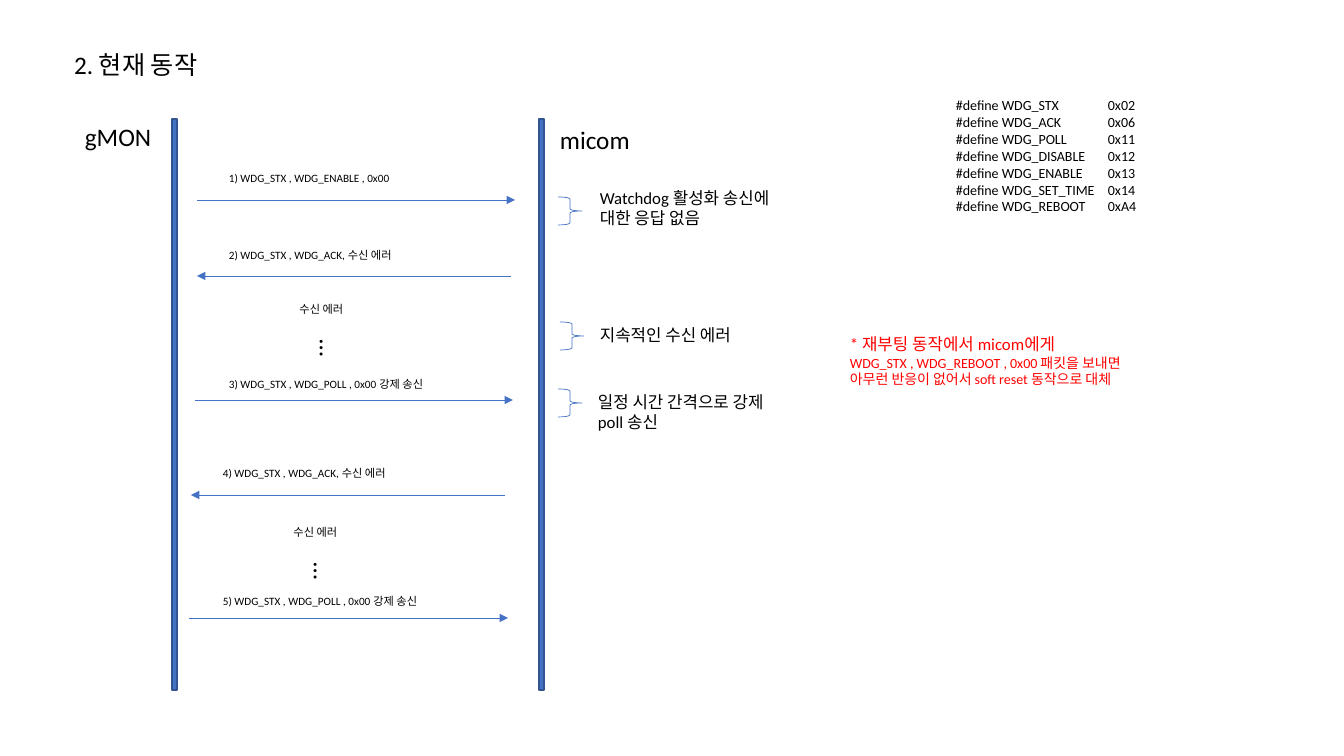
from lxml import etree
from pptx import Presentation
from pptx.dml.color import RGBColor
from pptx.enum.shapes import MSO_CONNECTOR, MSO_SHAPE
from pptx.enum.text import MSO_ANCHOR, MSO_AUTO_SIZE as AUTO_SIZE, PP_ALIGN
from pptx.oxml.ns import qn
from pptx.util import Emu, Pt

EMU_PER_PX = 914400 / 100.8
FONT = "Calibri"
BLACK, RED, BLUE, NAVY = "000000", "FF0000", "4472C4", "325491"

TITLE = "2. 현재 동작"
LIFELINES = [172, 539]
ACTORS = [("gMON", 75, 116), ("micom", 550, 119)]
MESSAGES = [
    ("1) WDG_STX , WDG_ENABLE , 0x00", (219, 166, 192), (197, 515, 200)),
    ("2) WDG_STX , WDG_ACK, 수신 에러", (219, 243, 192), (511, 197, 276)),
    ("3) WDG_STX , WDG_POLL , 0x00 강제 송신", (219, 372, 235), (195, 513, 400)),
    ("4) WDG_STX , WDG_ACK, 수신 에러", (213, 461, 192), (505, 191, 495)),
    ("5) WDG_STX , WDG_POLL , 0x00 강제 송신", (213, 589, 235), (189, 508, 618)),
]
REPEATED_ERROR = " 수신 에러"
REPEATS = [(287, 297), (281, 520)]
REMARKS = [
    ("Watchdog 활성화 송신에 대한 응답 없음", (558, 197), (590, 183, 214, 50)),
    ("지속적인 수신 에러", (560, 322), (590, 320, 214, 30)),
    ("일정 시간 간격으로 강제 poll 송신", (558, 389), (588, 387, 214, 50)),
]
DEFINES = [
    ("WDG_STX", "0x02"),
    ("WDG_ACK", "0x06"),
    ("WDG_POLL", "0x11"),
    ("WDG_DISABLE", "0x12"),
    ("WDG_ENABLE", "0x13"),
    ("WDG_SET_TIME", "0x14"),
    ("WDG_REBOOT", "0xA4"),
]
DEFINE_TAB = 152
REBOOT_NOTE = [
    ("* 재부팅 동작에서 micom에게", 12),
    ("WDG_STX , WDG_REBOOT , 0x00 패킷을 보내면", 10),
    ("아무런 반응이 없어서 soft reset 동작으로 대체", 10),
]


def px(value):
    return Emu(round(value * EMU_PER_PX))


def rgb(color):
    return RGBColor.from_string(color)


def format_text(text_frame, sizes, color=BLACK):
    for paragraph, size in zip(text_frame.paragraphs, sizes):
        for run in paragraph.runs:
            run.font.name = FONT
            run.font.size = Pt(size)
            run.font.color.rgb = rgb(color)


def add_text(slide, lines, box, sizes, color=BLACK):
    shape = slide.shapes.add_textbox(*map(px, box))
    text_frame = shape.text_frame
    text_frame.word_wrap = True
    text_frame.auto_size = AUTO_SIZE.SHAPE_TO_FIT_TEXT
    text_frame.text = "\n".join(lines)
    format_text(text_frame, sizes, color)
    return shape


def add_outline(slide, kind, box, line_color, width):
    shape = slide.shapes.add_shape(kind, *map(px, box))
    shape.shadow.inherit = False
    shape.line.color.rgb = rgb(line_color)
    shape.line.width = Pt(width)
    return shape


def add_arrow(slide, start, end, y):
    connector = slide.shapes.add_connector(
        MSO_CONNECTOR.STRAIGHT, px(start), px(y), px(end), px(y))
    connector.line.color.rgb = rgb(BLUE)
    connector.line.width = Pt(0.5)
    line = connector.line._get_or_add_ln()
    etree.SubElement(line, qn("a:tailEnd"), type="triangle")
    etree.SubElement(connector.element.spPr, qn("a:effectLst"))


def add_title(slide):
    title = slide.shapes.title
    title.left, title.top, title.width, title.height = map(px, (64, 44, 341, 40))
    text_frame = title.text_frame
    text_frame.text = TITLE
    text_frame.auto_size = AUTO_SIZE.NONE
    text_frame.vertical_anchor = MSO_ANCHOR.TOP
    text_frame.paragraphs[0].alignment = PP_ALIGN.LEFT
    format_text(text_frame, [18])


def add_sequence(slide):
    for left in LIFELINES:
        bar = add_outline(slide, MSO_SHAPE.RECTANGLE, (left, 119, 5, 571), NAVY, 1)
        bar.fill.solid()
        bar.fill.fore_color.rgb = rgb(BLUE)
    for name, left, top in ACTORS:
        add_text(slide, [name], (left, top, 103, 40), [18])
    for label, label_box, arrow in MESSAGES:
        add_arrow(slide, *arrow)
        add_text(slide, [label], (*label_box, 24), [8])
    for left, top in REPEATS:
        add_text(slide, [REPEATED_ERROR], (left, top, 81, 24), [8])
        dots = add_text(slide, ["…"], (left + 13, top + 33, 50, 30), [18])
        dots.element.txBody.bodyPr.set("vert", "eaVert")


def add_remarks(slide):
    for remark, (left, top), box in REMARKS:
        brace = add_outline(
            slide, MSO_SHAPE.RIGHT_BRACE, (left, top, 24, 28), BLUE, 0.5)
        brace.fill.background()
        add_text(slide, [remark], box, [12])
    lines, sizes = zip(*REBOOT_NOTE)
    add_text(slide, lines, (840, 329, 304, 65), sizes, RED)


def add_defines(slide):
    lines = [f"#define {name}\t{value}" for name, value in DEFINES]
    shape = add_text(slide, lines, (946, 92, 231, 129), [10] * len(lines))
    for paragraph in shape.text_frame.paragraphs:
        tabs = etree.SubElement(paragraph._p.get_or_add_pPr(), qn("a:tabLst"))
        etree.SubElement(tabs, qn("a:tab"), pos=str(px(DEFINE_TAB)), algn="l")


def main():
    presentation = Presentation()
    presentation.slide_width, presentation.slide_height = px(1344), px(756)
    slide = presentation.slides.add_slide(presentation.slide_layouts[5])
    add_title(slide)
    add_sequence(slide)
    add_remarks(slide)
    add_defines(slide)
    presentation.save("out.pptx")


if __name__ == "__main__":
    main()
